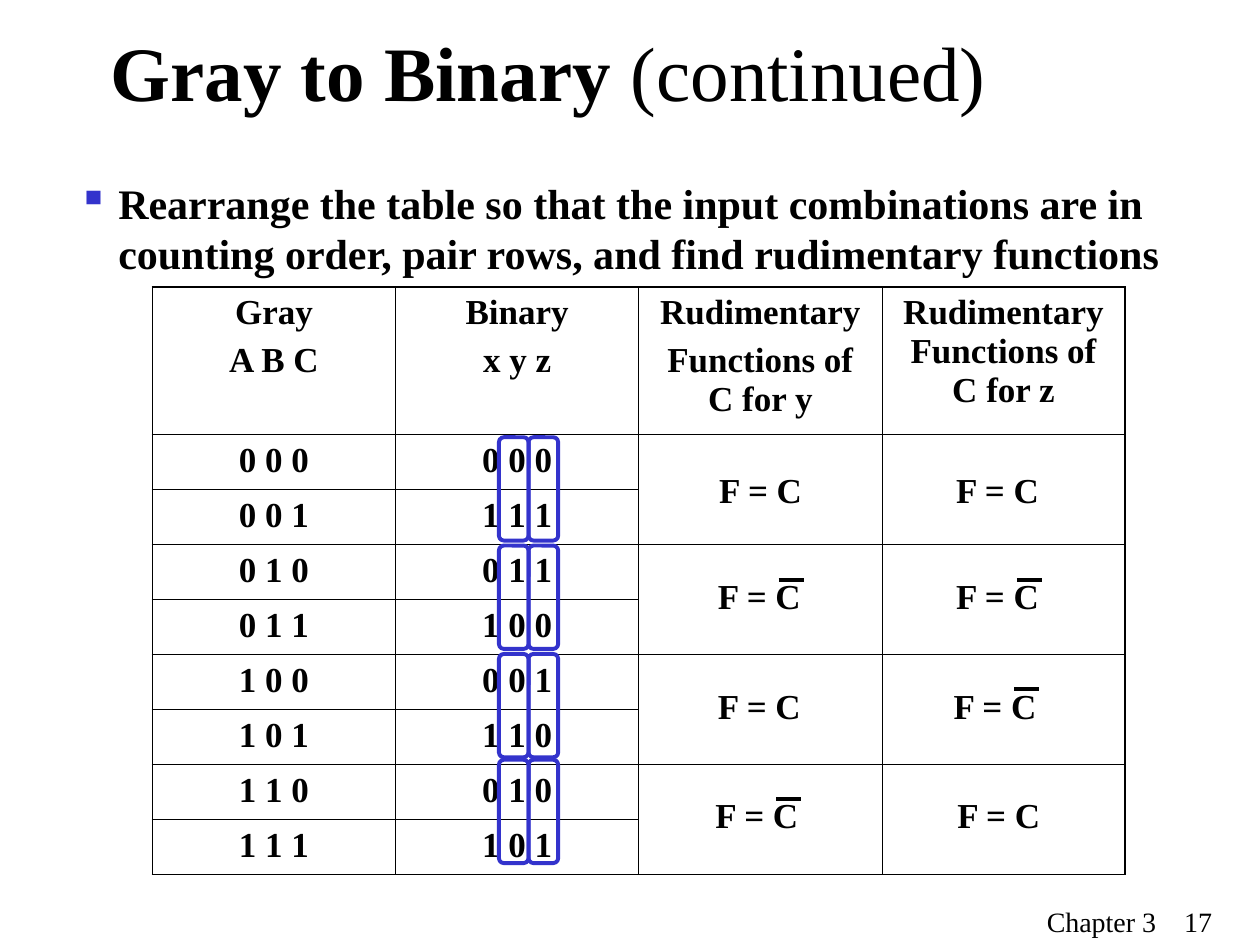
from lxml.etree import SubElement
from pptx import Presentation
from pptx.dml.color import RGBColor
from pptx.enum.shapes import MSO_CONNECTOR as Connector, MSO_SHAPE as Shape
from pptx.enum.text import MSO_ANCHOR as Anchor, PP_ALIGN as Align
from pptx.oxml.ns import qn
from pptx.util import Inches, Pt

COLORS = {"text": "000000", "accent": "3333CC"}
FONT = "Times New Roman"

TITLE = [("Gray to Binary", True), (" (continued)", False)]
BODY = ("Rearrange the table so that the input combinations are in "
        "counting order, pair rows, and find rudimentary functions")
FOOTER = "Chapter 3\t17"
HEADERS = [
    ["Gray", "A B C"],
    ["Binary", "x y z"],
    ["Rudimentary", "Functions of C for y"],
    ["Rudimentary Functions of C for z"],
]
CODES = [
    ("0 0 0", "0 0 0"), ("0 0 1", "1 1 1"),
    ("0 1 0", "0 1 1"), ("0 1 1", "1 0 0"),
    ("1 0 0", "0 0 1"), ("1 0 1", "1 1 0"),
    ("1 1 0", "0 1 0"), ("1 1 1", "1 0 1"),
]
FUNCTION = "F = C"
PAIRS = [
    {"top": 3.47, "label_top": 3.67, "labels": [(5.61, False), (7.49, False)]},
    {"top": 4.33, "label_top": 4.51, "labels": [(5.60, True), (7.49, True)]},
    {"top": 5.19, "label_top": 5.38, "labels": [(5.60, False), (7.47, True)]},
    {"top": 6.03, "label_top": 6.25, "labels": [(5.58, True), (7.50, False)]},
]

TABLE_LEFT, TABLE_TOP, TABLE_WIDTH = 1.21, 2.28, 7.72
HEADER_HEIGHT, CODES_HEIGHT = 1.17, 3.49
LOOP_LEFT, LOOP_WIDTH, LOOP_HEIGHT = 3.96, 0.235, 0.82
BAR_X, BAR_Y, BAR_WIDTH = 0.58, 0.09, 0.2
THIN, THICK = 0.45, 1.08


def color(name):
    return RGBColor.from_string(COLORS[name])


def add_run(paragraph, text, size, bold):
    run = paragraph.add_run()
    run.text = text
    run.font.name = FONT
    run.font.size = Pt(size)
    run.font.bold = bold
    run.font.color.rgb = color("text")


def add_text(slide, box, runs, size, wrap=True):
    frame = slide.shapes.add_textbox(*map(Inches, box)).text_frame
    frame.word_wrap = wrap
    for text, bold in runs:
        add_run(frame.paragraphs[0], text, size, bold)
    return frame


def add_bullet(paragraph):
    properties = paragraph._p.get_or_add_pPr()
    properties.set("marL", str(Inches(0.32)))
    properties.set("indent", str(Inches(-0.32)))
    bullet_color = SubElement(properties, qn("a:buClr"))
    SubElement(bullet_color, qn("a:srgbClr"), val=COLORS["accent"])
    SubElement(properties, qn("a:buChar"), char="▪")


def add_tab(paragraph, position):
    tabs = SubElement(paragraph._p.get_or_add_pPr(), qn("a:tabLst"))
    SubElement(tabs, qn("a:tab"), pos=str(Inches(position)), algn="l")


def set_borders(cell, widths):
    properties = cell._tc.get_or_add_tcPr()
    for side, width in widths.items():
        line = SubElement(properties, qn(f"a:ln{side}"), w=str(Pt(width)))
        fill = SubElement(line, qn("a:solidFill"))
        SubElement(fill, qn("a:srgbClr"), val=COLORS["text"])


def fill_cell(cell, lines):
    frame = cell.text_frame
    for index, line in enumerate(lines):
        paragraph = frame.add_paragraph() if index else frame.paragraphs[0]
        paragraph.alignment = Align.CENTER
        if index:
            paragraph.space_before = Pt(5)
        add_run(paragraph, line, 20, True)


def add_code_table(slide):
    rows, columns = len(CODES) + 1, len(HEADERS)
    table = slide.shapes.add_table(
        rows, columns, Inches(TABLE_LEFT), Inches(TABLE_TOP),
        Inches(TABLE_WIDTH), Inches(HEADER_HEIGHT + CODES_HEIGHT)).table
    table.first_row = table.horz_banding = False
    for column in table.columns:
        column.width = Inches(TABLE_WIDTH / columns)
    for index, row in enumerate(table.rows):
        row.height = Inches(CODES_HEIGHT / len(CODES) if index else HEADER_HEIGHT)
    for r in range(rows):
        for c in range(columns):
            cell = table.cell(r, c)
            set_borders(cell, {
                "L": THICK if c == 0 else THIN,
                "R": THICK if c == columns - 1 else THIN,
                "T": THICK if r == 0 else THIN,
                "B": THICK if r == rows - 1 else THIN,
            })
            cell.fill.background()
            if r == 0:
                fill_cell(cell, HEADERS[c])
            elif c < 2:
                fill_cell(cell, [CODES[r - 1][c]])
    for r in range(1, rows, 2):
        for c in (2, 3):
            table.cell(r, c).merge(table.cell(r + 1, c))


def add_loop(slide, left, top):
    loop = slide.shapes.add_shape(
        Shape.ROUNDED_RECTANGLE, Inches(left), Inches(top),
        Inches(LOOP_WIDTH), Inches(LOOP_HEIGHT))
    loop.shadow.inherit = False
    loop.fill.background()
    loop.line.color.rgb = color("accent")
    loop.line.width = Pt(2.25)


def add_bar(slide, left, top):
    bar = slide.shapes.add_connector(
        Connector.STRAIGHT, Inches(left), Inches(top),
        Inches(left + BAR_WIDTH), Inches(top))
    bar.line.color.rgb = color("text")
    bar.line.width = Pt(2.25)
    SubElement(bar._element.spPr, qn("a:effectLst"))


def main():
    presentation = Presentation()
    presentation.slide_width, presentation.slide_height = Inches(10), Inches(7.5)
    slide = presentation.slides.add_slide(presentation.slide_layouts[6])

    footer = add_text(slide, (8.21, 7.13, 1.78, 0.37), [(FOOTER, False)], 16)
    add_tab(footer.paragraphs[0], 1.09)
    title = add_text(slide, (0.78, 0, 8.5, 1.12), TITLE, 44)
    title.vertical_anchor = Anchor.MIDDLE
    body = add_text(slide, (0.52, 1.36, 8.98, 0.9), [(BODY, True)], 24)
    add_bullet(body.paragraphs[0])

    add_code_table(slide)
    for pair in PAIRS:
        for index, (left, inverted) in enumerate(pair["labels"]):
            add_loop(slide, LOOP_LEFT + index * LOOP_WIDTH, pair["top"])
            add_text(slide, (left, pair["label_top"], 0.9, 0.44),
                     [(FUNCTION, True)], 20, wrap=False)
            if inverted:
                add_bar(slide, left + BAR_X, pair["label_top"] + BAR_Y)

    presentation.save("out.pptx")


if __name__ == "__main__":
    main()
